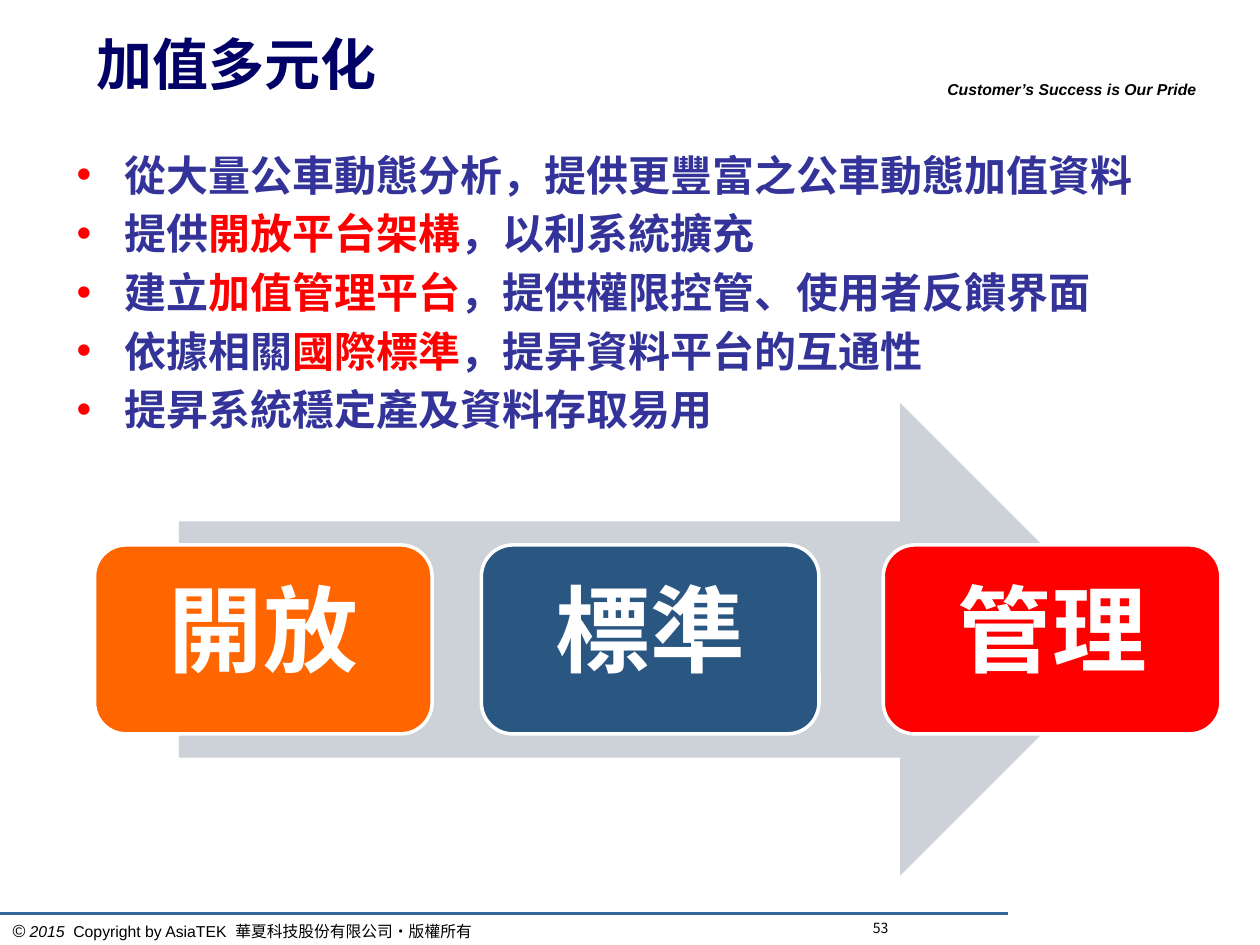
import pptx
import pptx.util
import pptx.dml.color
import pptx.oxml
import pptx.oxml.ns
import pptx.enum.shapes
import pptx.enum.text
from pptx.util import Inches

COLORS = {
    "title": "000066", "body": "333399", "accent": "FF0000", "black": "000000",
    "white": "FFFFFF", "rule": "336699", "arrow": "CDD1D8",
    "orange": "FF6600", "blue": "2A5682", "red": "FF0000",
}
CJK = "Noto Sans CJK SC"
SHAPES = pptx.enum.shapes.MSO_SHAPE
ALIGN = pptx.enum.text.PP_ALIGN
ANCHOR = pptx.enum.text.MSO_ANCHOR

BULLETS = [
    [("從大量公車動態分析，提供更豐富之公車動態加值資料", "body")],
    [("提供", "body"), ("開放平台架構", "accent"), ("，以利系統擴充", "body")],
    [("建立", "body"), ("加值管理平台", "accent"),
     ("，提供權限控管、使用者反饋界面", "body")],
    [("依據相關", "body"), ("國際標準", "accent"), ("，提昇資料平台的互通性", "body")],
    [("提昇系統穩定產及資料存取易用", "body")],
]
STEPS = [("開放", "orange", 0.75), ("標準", "blue", 3.82), ("管理", "red", 7.01)]


def rgb(name):
    return pptx.dml.color.RGBColor.from_string(COLORS[name])


def add_xml(parent, tag, **attributes):
    element = parent.makeelement(pptx.oxml.ns.qn(tag), attributes)
    parent.append(element)
    return element


def write(para, text, size=9, color="black", font="Arial", bold=False, italic=False):
    span = para.add_run()
    span.text = text
    span.font.size = pptx.util.Pt(size)
    span.font.name = font
    span.font.bold = bold
    span.font.italic = italic
    span.font.color.rgb = rgb(color)
    add_xml(span.font._element, "a:ea", typeface=CJK)


def add_text_box(page, left, top, width, height, anchor=ANCHOR.TOP):
    box = page.shapes.add_textbox(Inches(left), Inches(top), Inches(width), Inches(height))
    box.text_frame.word_wrap = True
    box.text_frame.vertical_anchor = anchor
    return box.text_frame


def add_filled_shape(page, kind, left, top, width, height, color):
    shape = page.shapes.add_shape(
        kind, Inches(left), Inches(top), Inches(width), Inches(height))
    shape.shadow.inherit = False
    shape.fill.solid()
    shape.fill.fore_color.rgb = rgb(color)
    shape.line.fill.background()
    return shape


def add_header(page):
    title = add_text_box(page, 0.67, 0.25, 6.08, 0.5, ANCHOR.MIDDLE)
    write(title.paragraphs[0], "加值多元化", size=32, color="title", font=CJK, bold=True)
    motto = add_text_box(page, 7.42, 0.58, 2.33, 0.25)
    write(motto.paragraphs[0], "Customer’s Success is Our Pride", bold=True, italic=True)


def add_footer(page, top):
    rule = page.shapes.add_connector(
        pptx.enum.shapes.MSO_CONNECTOR.STRAIGHT,
        Inches(0), Inches(top), Inches(8), Inches(top))
    rule.line.color.rgb = rgb("rule")
    rule.line.width = pptx.util.Pt(2.25)
    add_xml(rule._element.spPr, "a:effectLst")

    notice = add_text_box(page, 0, top, 4.33, 0.27).paragraphs[0]
    write(notice, "©", size=10, italic=True)
    write(notice, " 2015  ", italic=True)
    write(notice, "Copyright by AsiaTEK  華夏科技股份有限公司‧版權所有")
    number = add_text_box(page, 6.83, top, 2.08, 0.17)
    write(number.paragraphs[0], "53", size=8, font=CJK)


def add_bullets(page, left, top, width, height):
    frame = add_text_box(page, left, top, width, height)
    for index, spans in enumerate(BULLETS):
        para = frame.add_paragraph() if index else frame.paragraphs[0]
        para.line_spacing = pptx.util.Pt(33.5)
        properties = para._p.get_or_add_pPr()
        properties.set("marL", str(Inches(0.38)))
        properties.set("indent", str(-Inches(0.38)))
        bullet_color = add_xml(properties, "a:buClr")
        add_xml(bullet_color, "a:srgbClr", val=COLORS["accent"])
        add_xml(properties, "a:buFont", typeface="Arial")
        add_xml(properties, "a:buChar", char="•")
        for text, color in spans:
            write(para, text, size=24, color=color, font=CJK, bold=True)


def add_step(page, left, top, width, height, text, color):
    step = add_filled_shape(page, SHAPES.ROUNDED_RECTANGLE, left, top, width, height, color)
    step.line.color.rgb = rgb("white")
    step.line.width = pptx.util.Pt(2)
    frame = step.text_frame
    frame.margin_top = 0
    frame.margin_bottom = Inches(0.07)
    frame.vertical_anchor = ANCHOR.MIDDLE
    para = frame.paragraphs[0]
    para.alignment = ALIGN.CENTER
    para.line_spacing = 0.9
    write(para, text, size=54, color="white", bold=True)


def add_process(page, left, top, width, height):
    """Draw the arrow in the given box, with the steps centred on its height."""
    add_filled_shape(page, SHAPES.RIGHT_ARROW, left, top, width, height, "arrow")
    step_height = 1.5
    step_top = top + (height - step_height) / 2
    for text, color, step_left in STEPS:
        add_step(page, step_left, step_top, 2.68, step_height, text, color)


def main():
    deck = pptx.Presentation()
    deck.slide_width = Inches(10)
    deck.slide_height = Inches(7.5)
    page = deck.slides.add_slide(deck.slide_layouts[6])
    add_footer(page, 7.25)
    add_header(page)
    add_process(page, 1.42, 3.2, 7.6, 3.75)
    add_bullets(page, 0.51, 1.07, 9.05, 2.52)
    deck.save("out.pptx")


if __name__ == "__main__":
    main()
